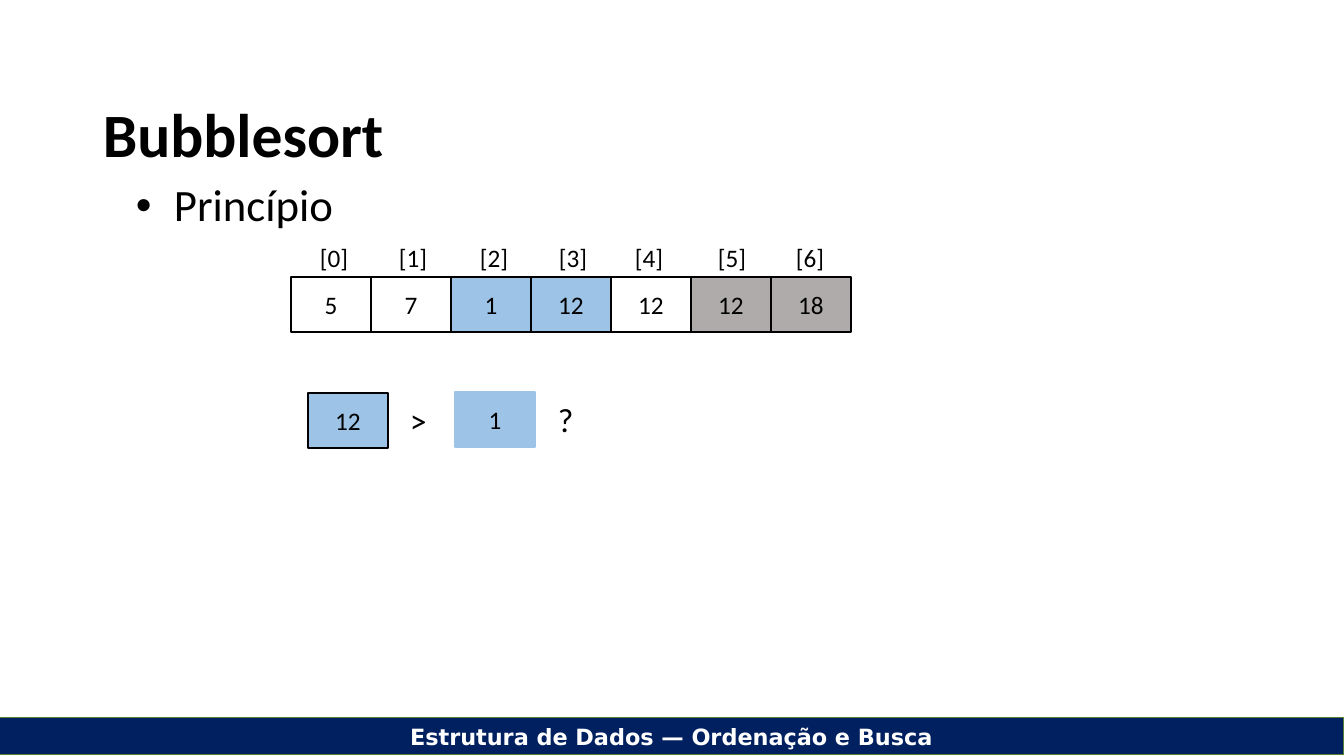
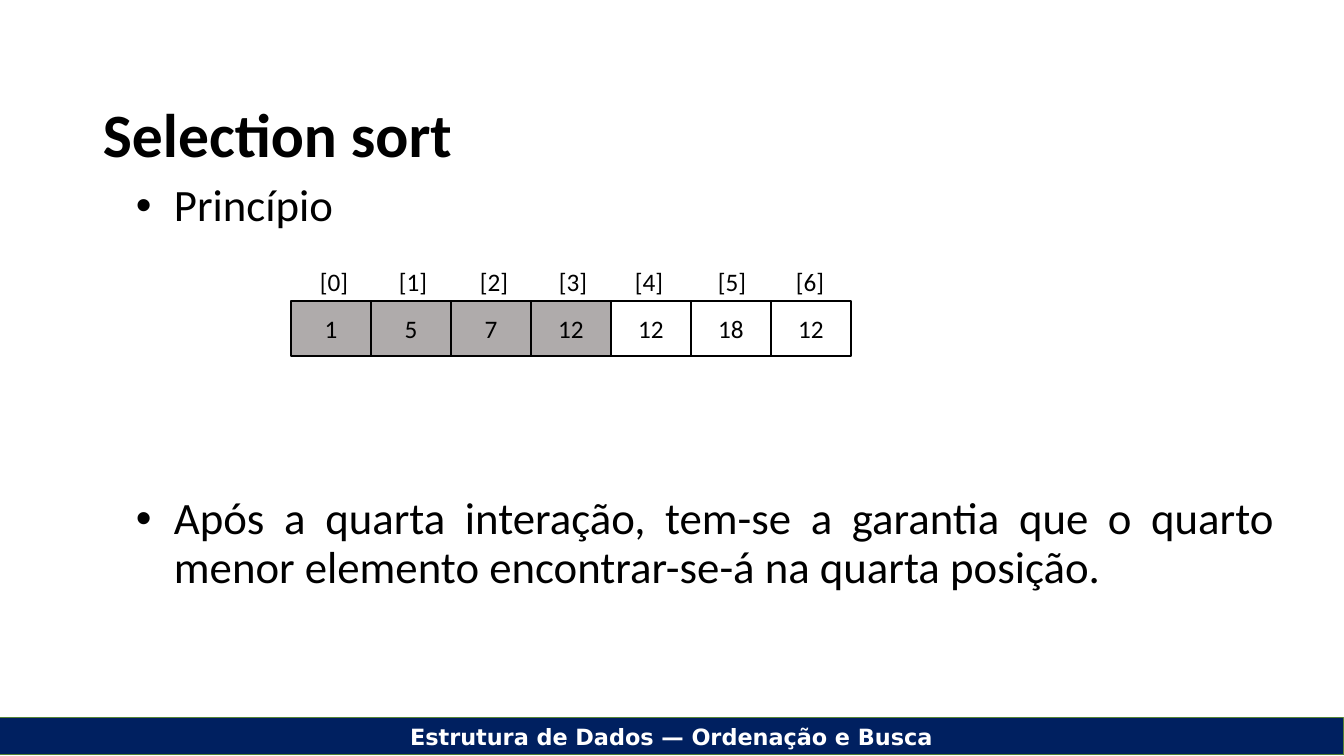
from dataclasses import dataclass

from lxml.etree import SubElement
from pptx import Presentation
from pptx.dml.color import RGBColor
from pptx.enum.shapes import MSO_SHAPE
from pptx.enum.text import MSO_ANCHOR, MSO_AUTO_SIZE, PP_ALIGN
from pptx.oxml.ns import qn
from pptx.util import Emu, Pt

EMU_PER_PX = 914400 / 100.8
BLACK, WHITE = "000000", "FFFFFF"
NAVY, GREEN = "002060", "548235"
BLUE, GRAY = "9DC3E6", "AFABAB"
BODY_FONT, FOOTER_FONT, BULLET_FONT = "Calibri", "DejaVu Sans", "Arial"
CELL_WIDTH, CELL_HEIGHT = 80, 55
ARRAY_LEFT = 291
INDEX_LEFTS = (310, 389, 470, 549, 625, 708, 786)
INDEX_WIDTH, INDEX_HEIGHT = 50, 40
BULLET_INDENT = 38


@dataclass(frozen=True)
class Cell:
    """One array element with its fill colour."""
    value: str
    fill: str = WHITE


@dataclass(frozen=True)
class Topic:
    """What differs from one sorting slide to the next."""
    title: str
    bullets: tuple[str, ...]
    array_top: int
    cells: tuple[Cell, ...]
    compares: bool = False


TOPICS = (
    Topic("Bubblesort", ("Princípio",), 277,
          (Cell("5"), Cell("7"), Cell("1", BLUE), Cell("12", BLUE),
           Cell("12"), Cell("12", GRAY), Cell("18", GRAY)), compares=True),
    Topic("Selection sort",
          ("Princípio",
           "Após a quarta interação, tem-se a garantia que o quarto menor "
           "elemento encontrar-se-á na quarta posição."), 301,
          (Cell("1", GRAY), Cell("5", GRAY), Cell("7", GRAY), Cell("12", GRAY),
           Cell("12"), Cell("18"), Cell("12"))),
)


def px(length: int) -> Emu:
    """Turn pixels into EMU."""
    return Emu(round(length * EMU_PER_PX))


def color(code: str) -> RGBColor:
    """Turn a hex string into a colour."""
    return RGBColor.from_string(code)


def write(box, *texts: str, size: int = 18, font: str = BODY_FONT,
          ink: str = BLACK, bold: bool = False, align=PP_ALIGN.LEFT,
          anchor=MSO_ANCHOR.TOP, wrap: bool = True, bullet: bool = False,
          line_spacing: float = 1.0, gap: int = 0) -> None:
    """Fill a box with one paragraph per text."""
    frame = box.text_frame
    frame.word_wrap = wrap
    if not wrap:
        frame.auto_size = MSO_AUTO_SIZE.SHAPE_TO_FIT_TEXT
    frame.vertical_anchor = anchor
    for number, text in enumerate(texts):
        para = frame.add_paragraph() if number else frame.paragraphs[0]
        if bullet:
            properties = para._p.get_or_add_pPr()
            properties.set("marL", str(px(BULLET_INDENT)))
            properties.set("indent", str(-px(BULLET_INDENT)))
            SubElement(properties, qn("a:buFont"), typeface=BULLET_FONT)
            SubElement(properties, qn("a:buChar"), char="•")
        para.alignment = align
        para.line_spacing = line_spacing
        if number:
            para.space_before = Pt(gap)
        span = para.add_run()
        span.text = text
        span.font.size = Pt(size)
        span.font.name = font
        span.font.bold = bold
        span.font.color.rgb = color(ink)


def add_label(shapes, left: int, top: int, width: int, height: int,
              *texts: str, **style) -> None:
    """Add a text box."""
    box = shapes.add_textbox(px(left), px(top), px(width), px(height))
    write(box, *texts, **style)


def add_box(shapes, left: int, top: int, width: int, height: int, text: str,
            fill: str, line: str = BLACK, line_width: float = 1,
            **style) -> None:
    """Add a filled, outlined rectangle with centred text."""
    box = shapes.add_shape(MSO_SHAPE.RECTANGLE, px(left), px(top),
                           px(width), px(height))
    box.shadow.inherit = False
    box.fill.solid()
    box.fill.fore_color.rgb = color(fill)
    box.line.color.rgb = color(line)
    box.line.width = Pt(line_width)
    write(box, text, align=PP_ALIGN.CENTER, **style)


def add_cell(shapes, left: int, top: int, cell: Cell, line: str = BLACK) -> None:
    """Add one array element."""
    add_box(shapes, left, top, CELL_WIDTH, CELL_HEIGHT, cell.value, cell.fill,
            line, anchor=MSO_ANCHOR.MIDDLE)


def add_array(page, top: int, cells: tuple[Cell, ...]) -> None:
    """Add a row of cells with an index above each."""
    shapes = page.shapes.add_group_shape().shapes
    for index, cell in enumerate(cells):
        add_cell(shapes, ARRAY_LEFT + index * CELL_WIDTH, top, cell)
    for index, left in enumerate(INDEX_LEFTS):
        add_label(shapes, left, top - INDEX_HEIGHT, INDEX_WIDTH, INDEX_HEIGHT,
                  f"[{index}]", wrap=False)


def add_comparison(page) -> None:
    """Add the question that compares two elements."""
    shapes = page.shapes.add_group_shape().shapes
    add_cell(shapes, 308, 393, Cell("12", BLUE))
    add_cell(shapes, 455, 392, Cell("1", BLUE), line=BLUE)
    add_label(shapes, 400, 395, 40, 50, ">", size=24)
    add_label(shapes, 548, 394, 40, 50, "?", size=24)


def add_topic(deck, topic: Topic) -> None:
    """Add one slide with footer, title, bullets and array."""
    page = deck.slides.add_slide(deck.slide_layouts[6])
    add_box(page.shapes, -1, 718, 1345, 37,
            "Estrutura de Dados — Ordenação e Busca", NAVY, GREEN, 0.75,
            size=16, font=FOOTER_FONT, ink=WHITE, bold=True)
    add_label(page.shapes, 93, 97, 1159, 82, topic.title, size=44, bold=True,
              anchor=MSO_ANCHOR.MIDDLE, line_spacing=0.9)
    add_label(page.shapes, 126, 178, 1159, 495, *topic.bullets, size=32,
              align=PP_ALIGN.JUSTIFY, bullet=True, line_spacing=0.9, gap=189)
    if topic.compares:
        add_comparison(page)
    add_array(page, topic.array_top, topic.cells)


def main() -> None:
    """Build and save the deck."""
    deck = Presentation()
    deck.slide_width, deck.slide_height = px(1344), px(756)
    for topic in TOPICS:
        add_topic(deck, topic)
    deck.save("out.pptx")


if __name__ == "__main__":
    main()
